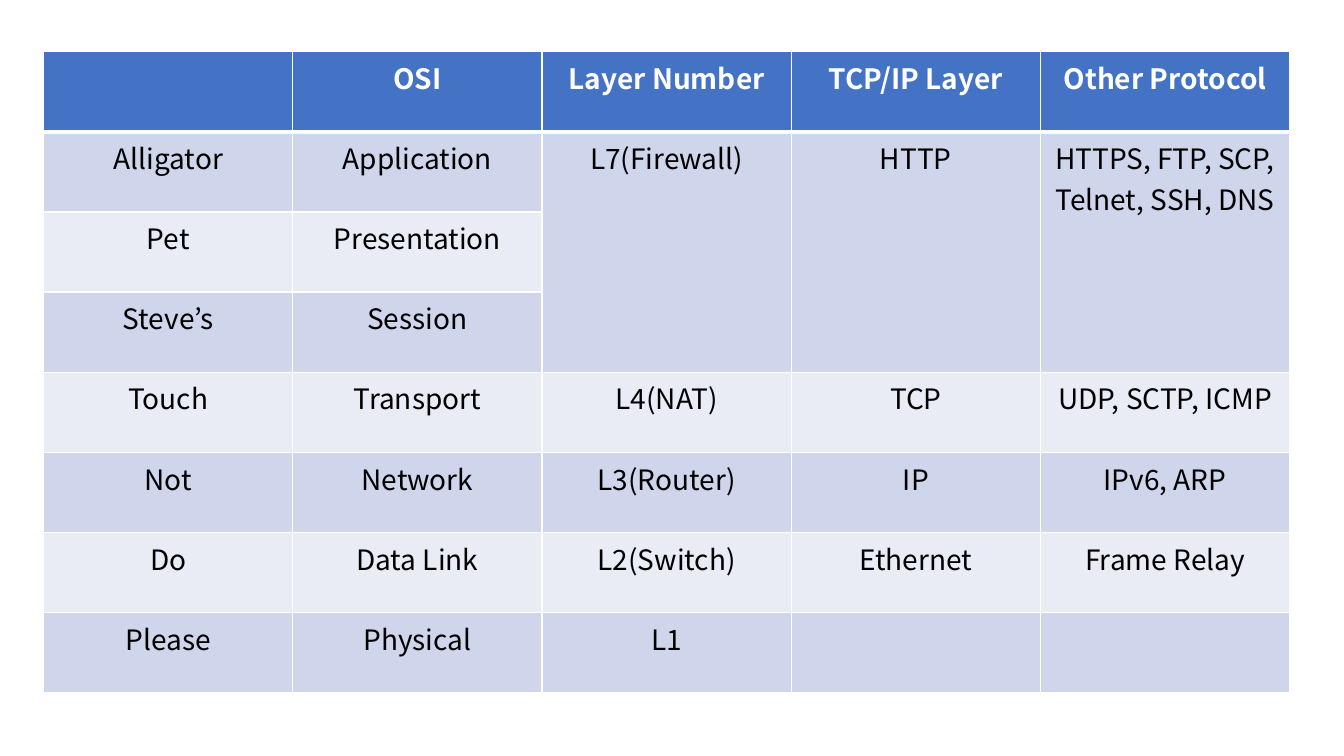
import pptx
import pptx.dml.color
import pptx.enum.text
import pptx.oxml
import pptx.oxml.ns
import pptx.util
from dataclasses import dataclass

Cm, Pt = pptx.util.Cm, pptx.util.Pt
RGB = pptx.dml.color.RGBColor.from_string

# Content
ROWS = [
    ("", "OSI", "Layer Number", "TCP/IP Layer", "Other Protocol"),
    ("Alligator", "Application", "L7(Firewall)", "HTTP",
     "HTTPS, FTP, SCP, Telnet, SSH, DNS"),
    ("Pet", "Presentation", "", "", ""),
    ("Steve’s", "Session", "", "", ""),
    ("Touch", "Transport", "L4(NAT)", "TCP", "UDP, SCTP, ICMP"),
    ("Not", "Network", "L3(Router)", "IP", "IPv6, ARP"),
    ("Do", "Data Link", "L2(Switch)", "Ethernet", "Frame Relay"),
    ("Please", "Physical", "L1", "", ""),
]
MERGED_COLUMNS = (2, 3, 4)
MERGED_ROWS = (1, 3)


@dataclass(frozen=True)
class Theme:
    font: str = "Noto Sans CJK KR"
    size: int = 20
    header: str = "4472C4"
    bands: tuple = ("E9EBF5", "CFD5EA")
    header_text: str = "FFFFFF"
    body_text: str = "000000"
    border: str = "FFFFFF"
    thin: int = 1
    thick: int = 3


THEME = Theme()

# Layout
LEFT, TOP = Cm(1.1), Cm(1.3)
COL_W, ROW_H = Cm(6.28), Cm(2.02)


def write(cell, text, *, color, bold=False):
    p = cell.text_frame.paragraphs[0]
    p.alignment = pptx.enum.text.PP_ALIGN.CENTER
    if not text:
        return
    r = p.add_run()
    r.text = text
    r.font.name = THEME.font
    r.font.size = Pt(THEME.size)
    r.font.bold = bold
    r.font.color.rgb = RGB(color)


def set_borders(cell, **widths):
    tc_pr = cell._tc.get_or_add_tcPr()
    for i, side in enumerate("LRTB"):
        width = Pt(widths.get(side, THEME.thin))
        tc_pr.insert(i, pptx.oxml.parse_xml(
            f'<a:ln{side} {pptx.oxml.ns.nsdecls("a")} w="{width}"><a:solidFill>'
            f'<a:srgbClr val="{THEME.border}"/></a:solidFill></a:ln{side}>'))


def main():
    prs = pptx.Presentation()
    prs.slide_width, prs.slide_height = Cm(33.87), Cm(19.05)
    s = prs.slides.add_slide(prs.slide_layouts[6])

    # Table grid
    n_rows, n_cols = len(ROWS), len(ROWS[0])
    table = s.shapes.add_table(n_rows, n_cols, LEFT, TOP,
                               COL_W * n_cols, ROW_H * n_rows).table
    for column in table.columns:
        column.width = COL_W
    for row in table.rows:
        row.height = ROW_H

    # Cells: header first, then alternating bands
    for i, row in enumerate(ROWS):
        header = i == 0
        fill = THEME.header if header else THEME.bands[i % 2]
        color = THEME.header_text if header else THEME.body_text
        edges = {0: {"B": THEME.thick}, 1: {"T": THEME.thick}}.get(i, {})
        for j, text in enumerate(row):
            cell = table.cell(i, j)
            cell.fill.solid()
            cell.fill.fore_color.rgb = RGB(fill)
            set_borders(cell, **edges)
            write(cell, text, color=color, bold=header)

    # The top three layers share one cell in each of these columns
    first, last = MERGED_ROWS
    for j in MERGED_COLUMNS:
        table.cell(first, j).merge(table.cell(last, j))

    prs.save("out.pptx")


if __name__ == "__main__":
    main()
